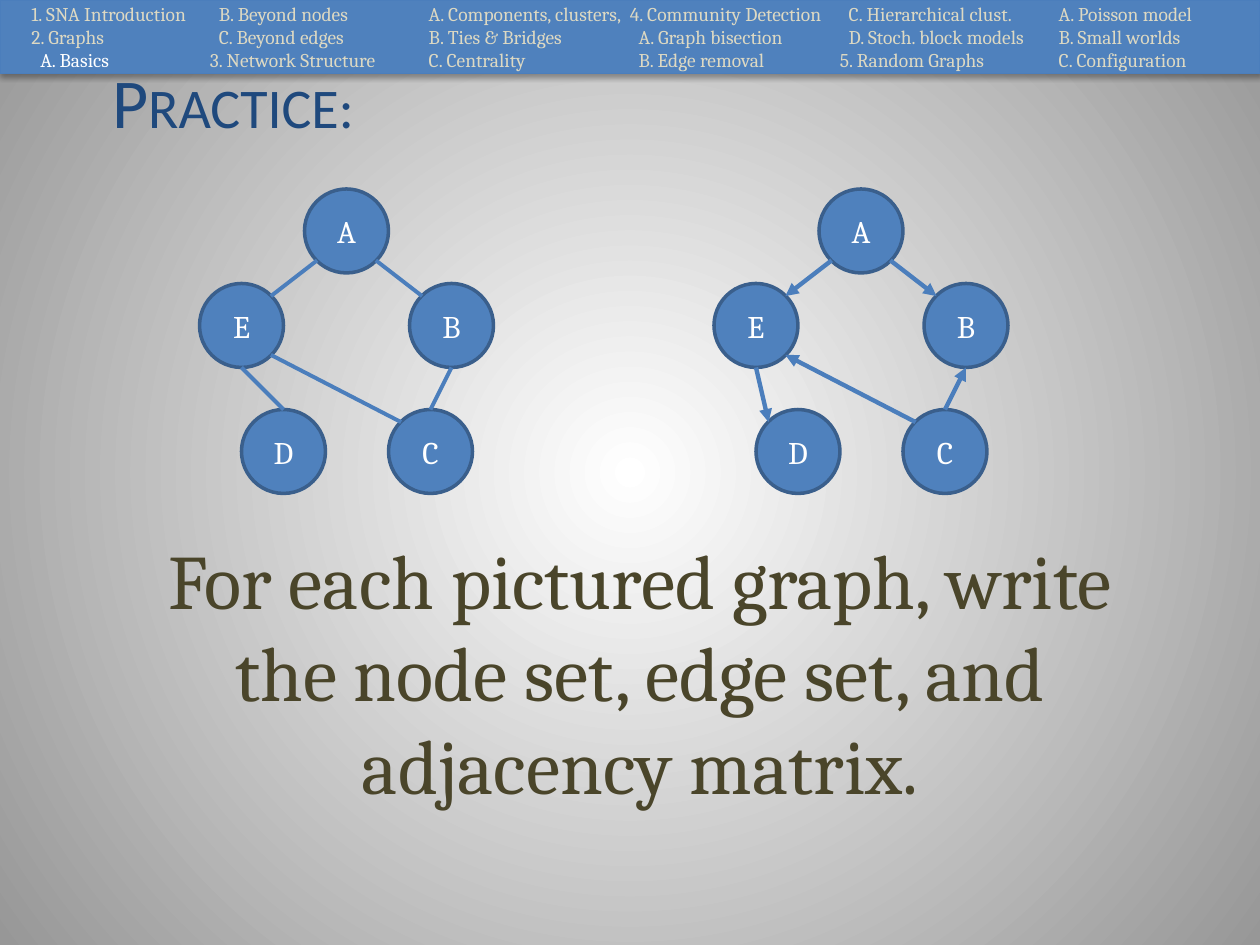
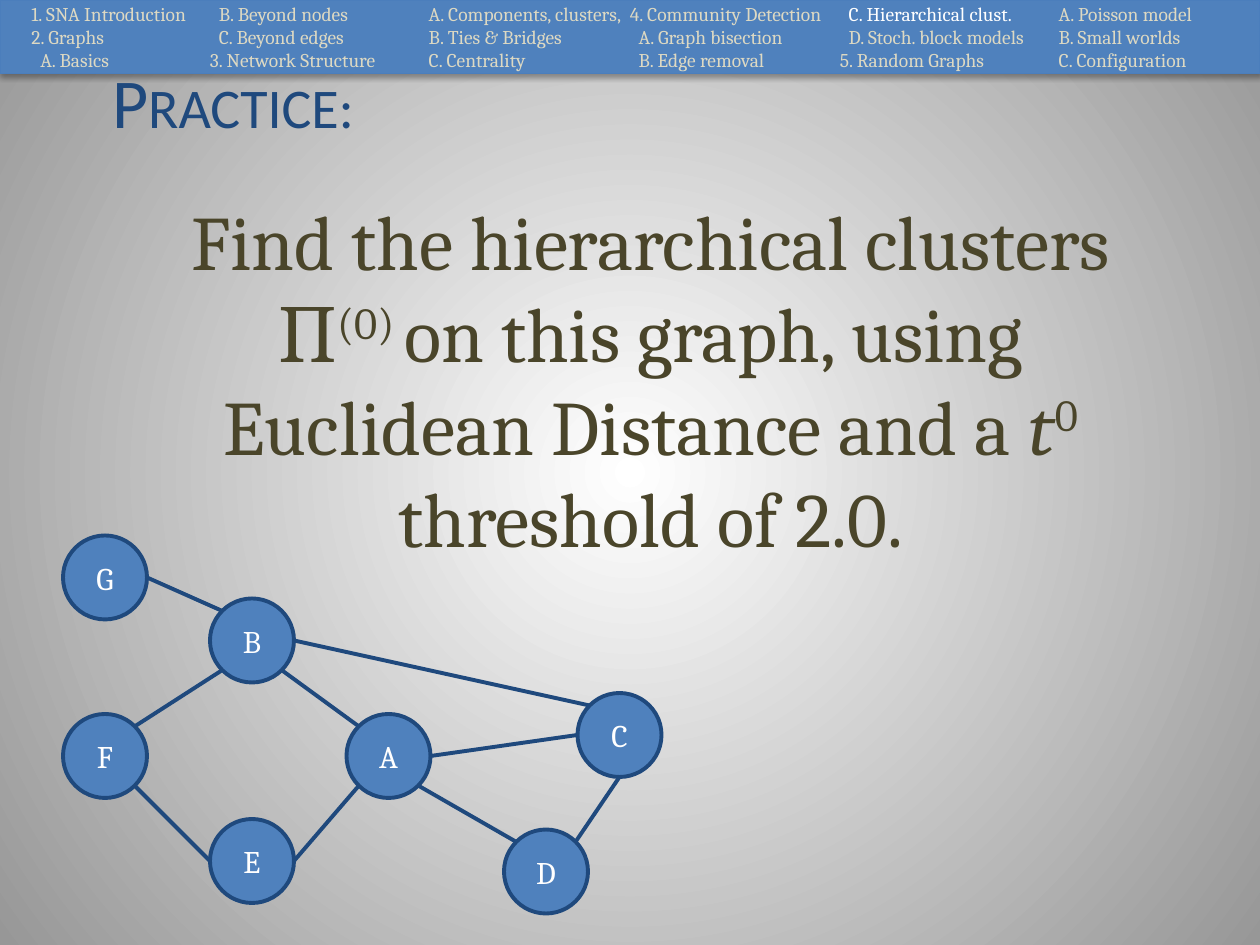
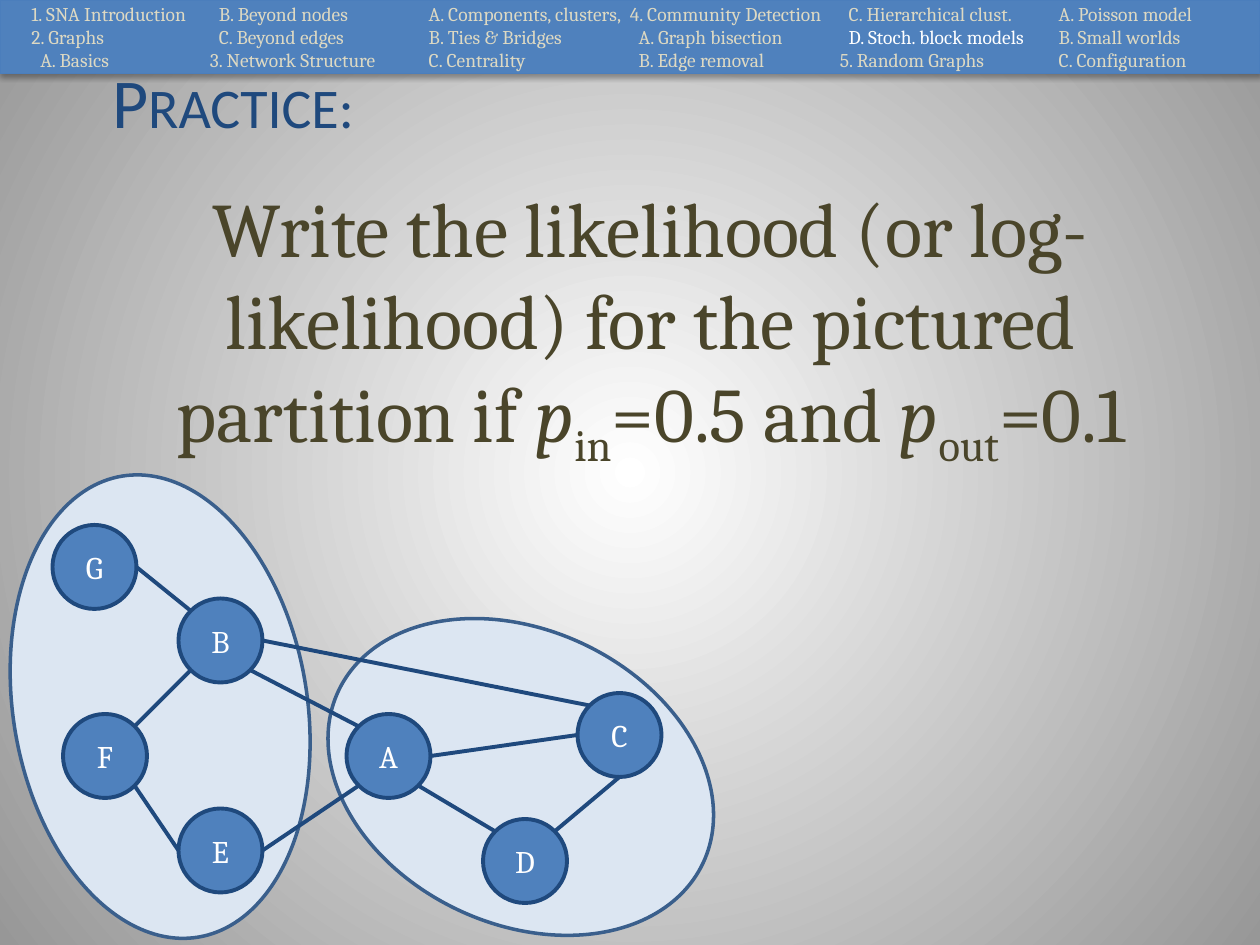
from dataclasses import dataclass

from lxml.etree import SubElement
from pptx import Presentation
from pptx.dml.color import RGBColor
from pptx.enum.shapes import MSO_CONNECTOR as Connector, MSO_SHAPE as Shape
from pptx.enum.text import MSO_ANCHOR as Anchor, PP_ALIGN as Align
from pptx.oxml.ns import qn
from pptx.util import Inches, Pt


@dataclass(frozen=True)
class Theme:
    blue: str = "4F81BD"
    edge_blue: str = "4B7EBC"
    rim_blue: str = "3A5F8C"
    navy: str = "1F497D"
    pale: str = "DCE6F2"
    olive: str = "4A452A"
    sand: str = "DDD9C3"
    white: str = "FFFFFF"
    grey: str = "979797"
    head_font: str = "Calibri"
    text_font: str = "Cambria"
    title_size: float = 40
    body_size: float = 44
    node_size: float = 18
    menu_size: float = 11.1


THEME = Theme()

# The slide is a grid of 120 columns by 90 rows, 12 to the inch
COLUMNS, ROWS, CELL = 120, 90, Inches(1) / 12
NODE = 8
MENU_COLUMNS, MENU_ROWS = 6, 3

MENU = [
    "1. SNA Introduction", "2. Graphs", "A. Basics",
    "B. Beyond nodes", "C. Beyond edges", "3. Network Structure",
    "A. Components, clusters,", "B. Ties & Bridges", "C. Centrality",
    "4. Community Detection", "A. Graph bisection", "B. Edge removal",
    "C. Hierarchical clust.", "D. Stoch. block models", "5. Random Graphs",
    "A. Poisson model", "B. Small worlds", "C. Configuration",
]

# Where an edge meets a node, as shares of the node's width and height
SITES = {
    "N": (0.5, 0), "S": (0.5, 1), "W": (0, 0.5), "E": (1, 0.5),
    "NW": (0.15, 0.15), "NE": (0.85, 0.15),
    "SW": (0.15, 0.85), "SE": (0.85, 0.85),
}

BASELINES = {"super": 30000, "sub": -25000}

# Nodes by column and row; edges as node:site pairs
PENTAGON = {"A": (29, 18), "B": (39, 27), "C": (37, 39), "D": (23, 39), "E": (19, 27)}
PENTAGON_SHIFT = 49
PENTAGON_EDGES = ["E:NE A:SW", "B:NW A:SE", "B:S C:N", "E:SE C:NW"]

CLUSTER_NODES = {"A": (33, 68), "B": (20, 57), "C": (55, 66), "D": (48, 79),
                 "E": (20, 78), "F": (6, 68), "G": (6, 51)}
PARTITION_NODES = {**CLUSTER_NODES, "B": (17, 57), "D": (46, 78),
                   "E": (17, 77), "G": (5, 50)}
NETWORK_EDGES = ["C:W A:E", "C:S D:NE", "A:SE D:NW", "G:E B:NW", "F:NE B:SW",
                 "A:SW E:E", "F:SE E:W", "B:E C:NW", "B:SE A:NW"]


def rgb(color):
    return RGBColor.from_string(color)


def cells(*counts):
    return [round(count * CELL) for count in counts]


# Shared elements
def add_span(para, text, size, color, font=THEME.text_font, italic=False):
    span = para.add_run()
    span.text = text
    span.font.name, span.font.size, span.font.italic = font, Pt(size), italic
    span.font.color.rgb = rgb(color)
    return span


def add_form(page, kind, area, fill, line, width):
    form = page.shapes.add_shape(kind, *cells(*area))
    form.shadow.inherit = False
    form.fill.solid()
    form.fill.fore_color.rgb = rgb(fill)
    form.line.color.rgb = rgb(line)
    form.line.width = Pt(width)
    return form


def add_text_box(page, area, anchor, align):
    frame = page.shapes.add_textbox(*cells(*area)).text_frame
    frame.word_wrap = True
    frame.vertical_anchor = anchor
    para = frame.paragraphs[0]
    para.alignment = align
    return para


def set_background(deck):
    master = deck.slide_master
    fill = master.background.fill
    fill.gradient()
    for stop, color in zip(fill.gradient_stops, (THEME.white, THEME.grey)):
        stop.color.rgb = rgb(color)
    gradient = master.element.find(".//" + qn("p:bgPr")).find(qn("a:gradFill"))
    gradient.remove(gradient.find(qn("a:lin")))
    circle = SubElement(gradient, qn("a:path"), {"path": "circle"})
    SubElement(circle, qn("a:fillToRect"), dict.fromkeys("ltrb", "50000"))


def add_band_shadow(band):
    effects = band.element.spPr.find(qn("a:effectLst"))
    shadow = SubElement(effects, qn("a:outerShdw"), {
        "blurRad": str(Pt(3.1)), "dist": str(Pt(1.8)),
        "dir": "5400000", "rotWithShape": "0"})
    black = SubElement(shadow, qn("a:srgbClr"), {"val": "000000"})
    SubElement(black, qn("a:alpha"), {"val": "35000"})


def add_menu(page, current):
    band = add_form(page, Shape.RECTANGLE, (0, 0, COLUMNS, 7),
                    THEME.blue, THEME.edge_blue, 0.75)
    add_band_shadow(band)
    frame = band.text_frame
    frame.word_wrap = True
    frame.vertical_anchor = Anchor.MIDDLE
    frame.margin_left = frame.margin_right = frame.margin_top = frame.margin_bottom = 0
    frame.paragraphs[0]._p.getparent().find(qn("a:bodyPr")).set("numCol", str(MENU_COLUMNS))
    for index, entry in enumerate(MENU):
        para = frame.add_paragraph() if index else frame.paragraphs[0]
        para.alignment = Align.LEFT
        indent = (0.25 if index < MENU_ROWS else 0) + (0.07 if entry[0].isalpha() else 0)
        properties = para._p.get_or_add_pPr()
        properties.set("marL", str(Inches(indent)))
        properties.set("indent", "0")
        add_span(para, entry, THEME.menu_size,
                 THEME.white if entry == current else THEME.sand)


def add_title(page):
    para = add_text_box(page, (9.5, 5, 102, 18), Anchor.TOP, Align.LEFT)
    span = add_span(para, "Practice:", THEME.title_size, THEME.navy, THEME.head_font)
    span._r.get_or_add_rPr().set("cap", "small")


def add_task(page, area, *parts):
    para = add_text_box(page, area, Anchor.MIDDLE, Align.CENTER)
    para.space_before = Pt(THEME.body_size * 0.2)
    for text, style in parts:
        span = add_span(para, text, THEME.body_size, THEME.olive, italic=style == "italic")
        if style in BASELINES:
            span._r.get_or_add_rPr().set("baseline", str(BASELINES[style]))


# Graphs
def add_node(page, name, place, rim, width):
    node = add_form(page, Shape.OVAL, (*place, NODE, NODE), THEME.blue, rim, width)
    node.text_frame.vertical_anchor = Anchor.MIDDLE
    para = node.text_frame.paragraphs[0]
    para.alignment = Align.CENTER
    add_span(para, name, THEME.node_size, THEME.white)


def site_point(nodes, end):
    name, site = end.split(":")
    return cells(*(start + share * NODE for start, share in zip(nodes[name], SITES[site])))


def add_edge(page, nodes, edge, color, width, arrow):
    begin, end = (site_point(nodes, part) for part in edge.split())
    line = page.shapes.add_connector(Connector.STRAIGHT, *begin, *end)
    line.line.color.rgb = rgb(color)
    line.line.width = Pt(width)
    if arrow:
        SubElement(line.line._get_or_add_ln(), qn("a:headEnd"), {"type": "triangle"})
    SubElement(line.element.spPr, qn("a:effectLst"))


def add_graph(page, nodes, edges, rim=THEME.navy, rim_width=2.25,
              color=THEME.navy, width=2.25, arrow=False):
    for name, place in nodes.items():
        add_node(page, name, place, rim, rim_width)
    for edge in edges:
        add_edge(page, nodes, edge, color, width, arrow)


def add_group(page, area, angle):
    group = add_form(page, Shape.OVAL, area, THEME.pale, THEME.rim_blue, 2)
    group.rotation = angle


# Slides
def build_basics(page):
    look = {"rim": THEME.rim_blue, "rim_width": 2, "color": THEME.edge_blue}
    shifted = {name: (column + PENTAGON_SHIFT, row)
               for name, (column, row) in PENTAGON.items()}
    add_graph(page, PENTAGON, PENTAGON_EDGES + ["D:N E:S"], **look)
    add_graph(page, shifted, PENTAGON_EDGES + ["D:NW E:S"], width=2.5, arrow=True, **look)
    add_title(page)
    add_task(page, (10, 50, 102, 27.8),
             ("For each pictured graph, write the node set, edge set, "
              "and adjacency matrix.", ""))
    add_menu(page, "A. Basics")


def build_clusters(page):
    add_title(page)
    add_task(page, (11, 19, 102, 34),
             ("Find the hierarchical clusters Π", ""), ("(0) ", "super"),
             ("on this graph, using Euclidean Distance and a ", ""),
             ("t", "italic"), ("0", "super"), (" threshold of 2.0.", ""))
    add_graph(page, CLUSTER_NODES, NETWORK_EDGES)
    add_menu(page, "C. Hierarchical clust.")


def build_partition(page):
    add_group(page, (-7, 53.3, 44.5, 28), 80.6)
    add_group(page, (30.4, 60, 38.4, 28), 25.3)
    add_title(page)
    add_task(page, (11, 14, 102, 34),
             ("Write the likelihood (or log-likelihood) for the pictured partition if ", ""),
             ("p", "italic"), ("in", "sub"), ("=0.5 and ", ""),
             ("p", "italic"), ("out", "sub"), ("=0.1", ""))
    add_graph(page, PARTITION_NODES, NETWORK_EDGES)
    add_menu(page, "D. Stoch. block models")


def main():
    deck = Presentation()
    deck.slide_width, deck.slide_height = cells(COLUMNS, ROWS)
    set_background(deck)
    blank = deck.slide_layouts[6]
    for build in (build_basics, build_clusters, build_partition):
        build(deck.slides.add_slide(blank))
    deck.save("out.pptx")


if __name__ == "__main__":
    main()
